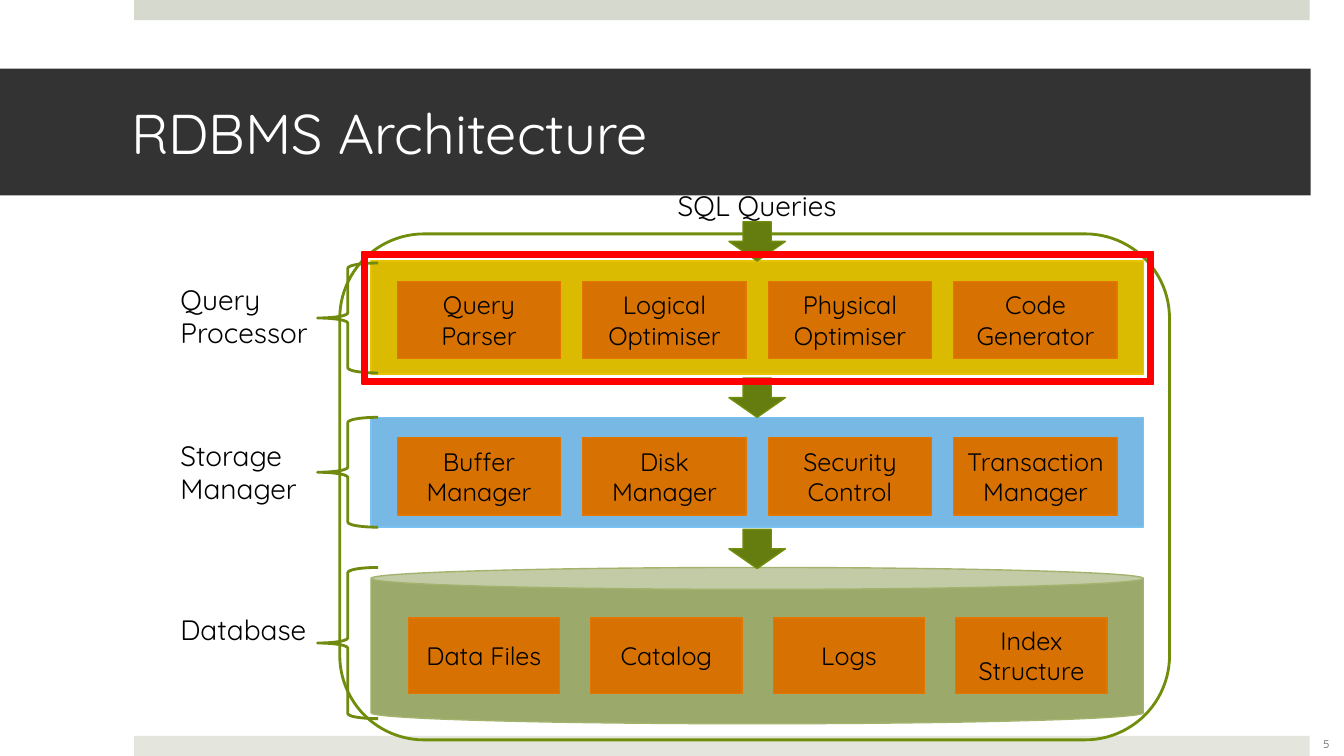
import pptx
import pptx.util
import pptx.dml.color
import pptx.enum.shapes
import pptx.enum.text

Inches = pptx.util.Inches
Pt = pptx.util.Pt
Kind = pptx.enum.shapes.MSO_SHAPE
Align = pptx.enum.text.PP_ALIGN
Anchor = pptx.enum.text.MSO_ANCHOR
Fit = pptx.enum.text.MSO_AUTO_SIZE


def color(code):
    return pptx.dml.color.RGBColor.from_string(code)


def apply(target, values):
    for name, value in values.items():
        setattr(target, name, value)


class Sketch:
    font = "Quicksand"
    ink = "000000"

    def __init__(self, deck):
        self.slide = deck.slides.add_slide(deck.slide_layouts[5])

    def letter(self, frame, text, size, ink=ink, align=Align.LEFT, anchor=Anchor.TOP):
        apply(frame, {"word_wrap": True, "auto_size": Fit.NONE, "vertical_anchor": anchor})
        line = frame.paragraphs[0]
        line.text = text
        line.alignment = align
        apply(line.font, {"name": self.font, "size": Pt(size)})
        line.font.color.rgb = color(ink)

    def title(self, text, box, fill, ink):
        shape = self.slide.shapes.title
        apply(shape, dict(zip(("left", "top", "width", "height"), map(Inches, box))))
        shape.fill.solid()
        shape.fill.fore_color.rgb = color(fill)
        frame = shape.text_frame
        self.letter(frame, text, 40, ink, anchor=Anchor.MIDDLE)
        apply(frame, {
            "margin_left": Inches(1.3), "margin_right": Inches(0.3),
            "margin_top": Inches(0.05), "margin_bottom": Inches(0.05),
        })

    def label(self, text, box, size=20, **style):
        shape = self.slide.shapes.add_textbox(*map(Inches, box))
        self.letter(shape.text_frame, text, size, **style)

    def shape(self, kind, box, fill=None, edge=None, width=1, bend=None):
        shape = self.slide.shapes.add_shape(kind, *map(Inches, box))
        shape.shadow.inherit = False
        if bend is not None:
            shape.adjustments[0] = bend
        for part, code in ((shape.fill, fill), (shape.line.fill, edge)):
            if code:
                part.solid()
                part.fore_color.rgb = color(code)
            else:
                part.background()
        if edge:
            shape.line.width = Pt(width)
        return shape

    def row(self, names, left, top, step, wide, high):
        for i, name in enumerate(names):
            box = (left + i * step, top, wide, high)
            cell = self.shape(Kind.RECTANGLE, box, "D67102", "E27600")
            self.letter(cell.text_frame, name, 18, align=Align.CENTER, anchor=Anchor.MIDDLE)


def main():
    deck = pptx.Presentation()
    apply(deck, {"slide_width": Inches(13.33), "slide_height": Inches(7.5)})
    page = Sketch(deck)

    page.title("RDBMS Architecture", (0, 0.68, 13, 1.26), "333333", "FFFFFF")
    for top, fill in ((0, "D6D9CD"), (7.3, "E4E6DE")):
        page.shape(Kind.RECTANGLE, (1.33, top, 11.66, 0.2), fill)
    page.label("5", (12.98, 7.18, 0.35, 0.4), 8, ink="595959",
               align=Align.CENTER, anchor=Anchor.MIDDLE)
    page.shape(Kind.ROUNDED_RECTANGLE, (3.37, 2.32, 8.23, 5.02), edge="718D0C", width=2)

    layers = (
        (Kind.RECTANGLE, 2.59, 1.12, "DABB02", "E6C500", None),
        (Kind.RECTANGLE, 4.14, 1.09, "77B8E4", "7AC2F2", None),
        (Kind.CAN, 5.63, 1.55, "9BA96B", "A3B36E", 0.14),
    )
    for kind, top, high, fill, edge, bend in layers:
        page.shape(kind, (3.68, top, 7.66, high), fill, edge, bend=bend)

    rows = (
        (("Query Parser", "Logical Optimiser", "Physical Optimiser", "Code Generator"),
         3.94, 2.79, 1.84, 1.62, 0.77),
        (("Buffer Manager", "Disk Manager", "Security Control", "Transaction\nManager"),
         3.94, 4.34, 1.84, 1.62, 0.77),
        (("Data Files", "Catalog", "Logs", "Index Structure"),
         4.05, 6.13, 1.81, 1.5, 0.75),
    )
    for row in rows:
        page.row(*row)

    for top, high in ((2.61, 1.09), (4.14, 1.09), (5.63, 1.5)):
        page.shape(Kind.LEFT_BRACE, (3.15, top, 0.6, high), edge="6F8A0F", width=2)
    for text, top, high in (
        ("Query Processor", 2.75, 0.8),
        ("Storage\nManager", 4.3, 0.77),
        ("Database", 6.03, 0.44),
    ):
        page.label(text, (1.69, top, 1.55, high))

    for top in (2.2, 3.75, 5.25):
        page.shape(Kind.DOWN_ARROW, (7.23, top, 0.56, 0.39), "657D0E", "718D0C")
    page.label("SQL Queries", (6.56, 1.82, 1.9, 0.44), align=Align.CENTER)
    page.shape(Kind.FRAME, (3.59, 2.5, 7.85, 1.31), "FF0000", "FF0000", bend=0.04)

    deck.save("out.pptx")


if __name__ == "__main__":
    main()
